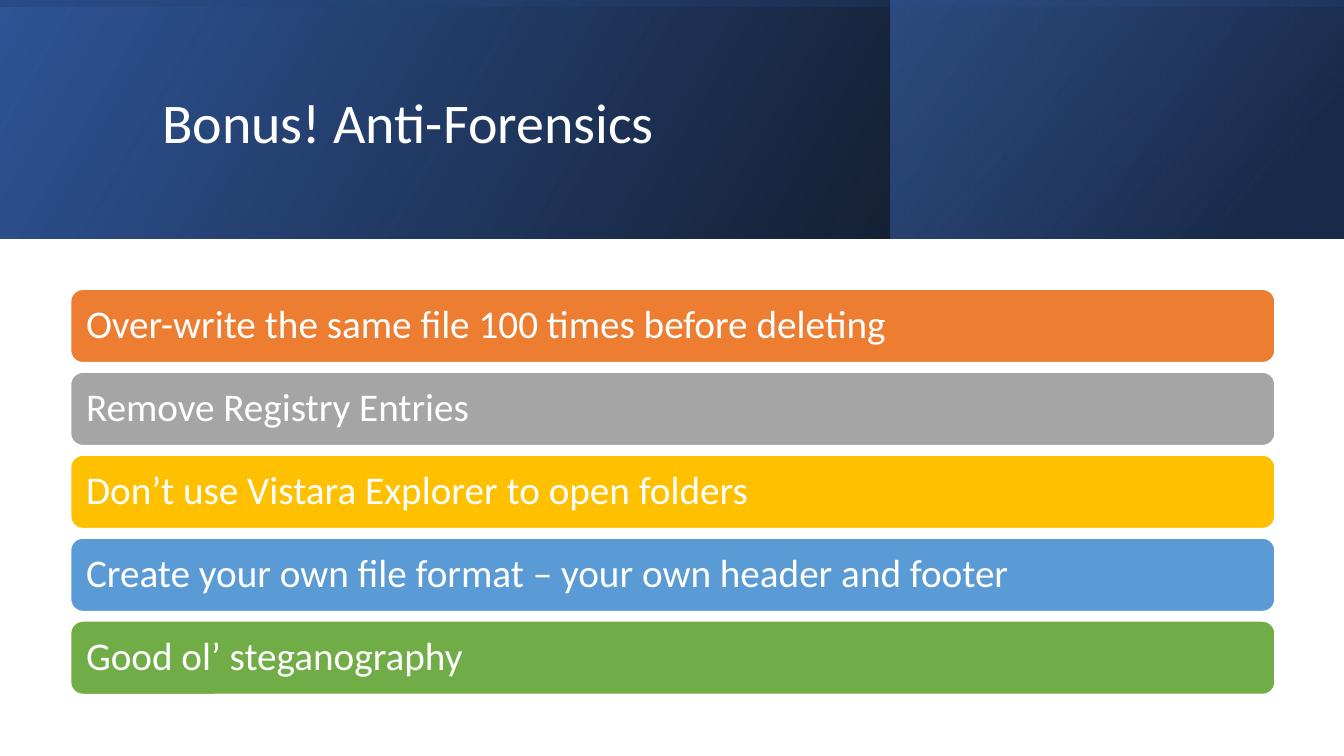
from pptx import Presentation
from pptx.dml.color import RGBColor
from pptx.enum.shapes import MSO_SHAPE
from pptx.enum.text import MSO_ANCHOR, PP_ALIGN
from pptx.oxml.ns import qn
from pptx.util import Cm, Pt
from lxml.etree import SubElement

# Content
TITLE = "Bonus! Anti-Forensics"
TIPS = [
    ("Over-write the same file 100 times before deleting", "ED7D31"),
    ("Remove Registry Entries", "A5A5A5"),
    ("Don’t use Vistara Explorer to open folders", "FFC000"),
    ("Create your own file format – your own header and footer", "5B9BD5"),
    ("Good ol’ steganography", "70AD47"),
]

# Sizes in cm
WIDE, HIGH = 33.87, 19.05
BAND = 6.02
SIDE = 22.45
LEFT, TOP, LONG, TALL, STEP = 1.78, 7.29, 30.35, 1.85, 2.09

# Header layers: left, top, width, height, turn, angle, stops (place, colour, opacity)
MID = (WIDE - BAND) / 2
LAYERS = [
    (0, 0, WIDE, BAND, 0, 330, [(0, "000000", 96), (100, "2F5597", 100)]),
    (SIDE, 0, WIDE - SIDE, BAND, 0, 320, [(19, "203864", 68), (100, "4472C4", 48)]),
    (MID, -MID, BAND, WIDE, 270, 350, [(23, "2F5597", 16), (99, "000000", 45)]),
]
LAYERS[0][6][1] = (100, "2F5597", 100)


def paint(color, code):
    color.rgb = RGBColor.from_string(code)


def add_box(slide, kind, *box):
    shape = slide.shapes.add_shape(kind, *map(Cm, box))
    shape.shadow.inherit = False
    return shape


def write(frame, text, size):
    frame.word_wrap = True
    frame.vertical_anchor = MSO_ANCHOR.MIDDLE
    frame.text = text
    para = frame.paragraphs[0]
    para.alignment = PP_ALIGN.LEFT
    para.line_spacing = 0.9
    font = para.runs[0].font
    font.name, font.size = "Calibri", Pt(size)
    paint(font.color, "FFFFFF")


def add_layer(slide, left, top, width, height, turn, angle, stops):
    shape = add_box(slide, MSO_SHAPE.RECTANGLE, left, top, width, height)
    shape.rotation = turn
    shape._element.spPr.find(qn("a:xfrm")).set("flipH", "1")
    shape.line.fill.background()
    shape.fill.gradient()
    shape.fill.gradient_angle = 360 - angle
    for stop, (place, code, solid) in zip(shape.fill.gradient_stops, stops):
        stop.position = place / 100
        paint(stop.color, code)
        tint = stop._gs.find(qn("a:srgbClr"))
        SubElement(tint, qn("a:alpha")).set("val", str(solid * 1000))


def add_tip(slide, row, text, code):
    bar = add_box(slide, MSO_SHAPE.ROUNDED_RECTANGLE,
                  LEFT, TOP + row * STEP, LONG, TALL)
    bar.fill.solid()
    paint(bar.fill.fore_color, code)
    paint(bar.line.color, "FFFFFF")
    bar.line.width = Pt(1)
    frame = bar.text_frame
    frame.margin_left = frame.margin_right = Cm(0.3)
    frame.margin_top = frame.margin_bottom = Cm(0.3)
    write(frame, text, 28)


def main():
    deck = Presentation()
    deck.slide_width, deck.slide_height = Cm(WIDE), Cm(HIGH)
    slide = deck.slides.add_slide(deck.slide_layouts[6])

    # Header
    for layer in LAYERS:
        add_layer(slide, *layer)
    head = slide.shapes.add_textbox(Cm(3.84), Cm(0.97), Cm(27), Cm(4.37))
    write(head.text_frame, TITLE, 40)

    # Tips
    for row, (text, code) in enumerate(TIPS):
        add_tip(slide, row, text, code)

    deck.save("out.pptx")


if __name__ == "__main__":
    main()
